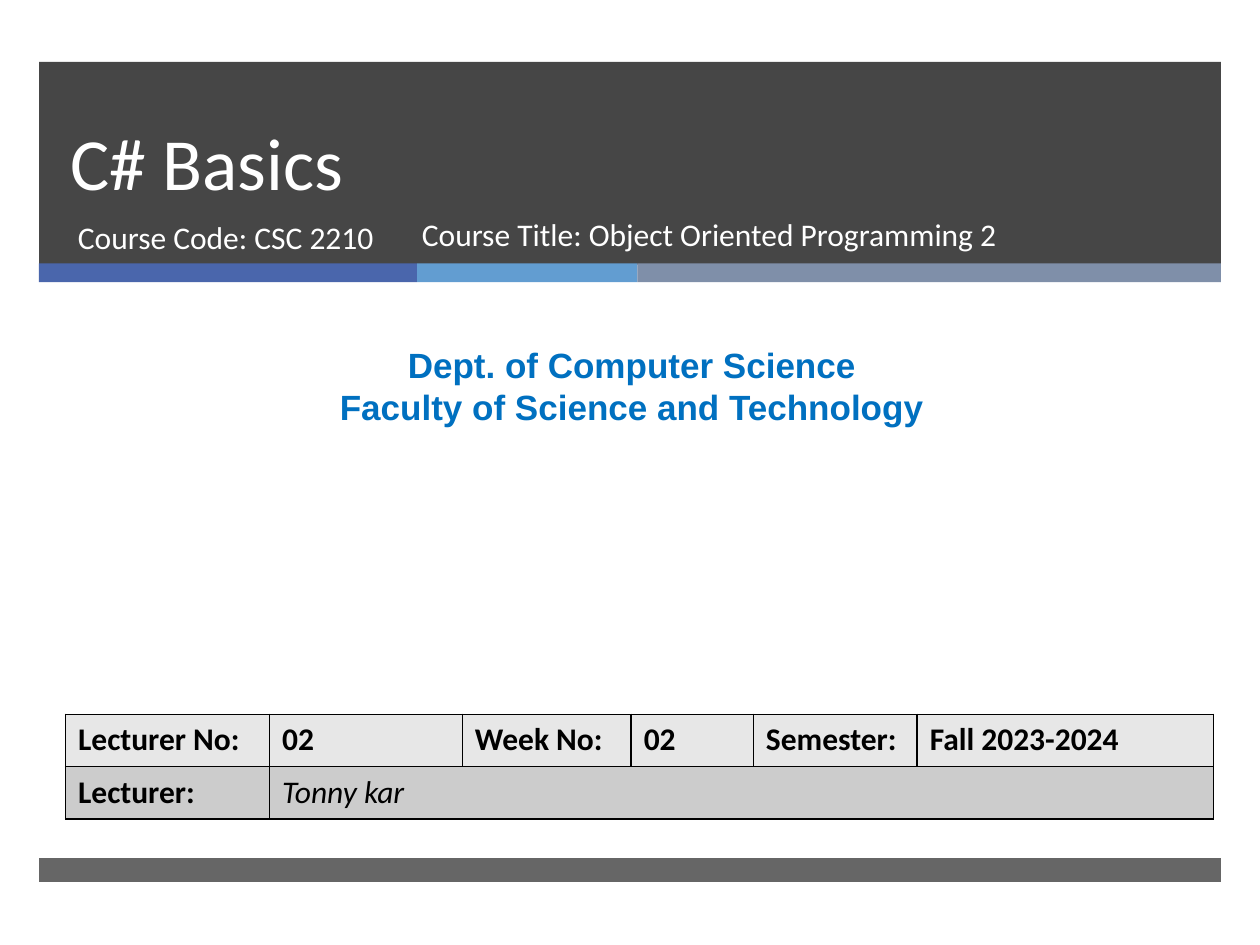
import pptx
import pptx.dml.color
import pptx.enum.shapes
import pptx.enum.text
import pptx.oxml
import pptx.oxml.ns
import pptx.util
from dataclasses import dataclass


@dataclass(frozen=True)
class Theme:
    dark: str = "262626"
    accents: tuple = ("4A66AC", "629DD1", "7F8FA9")
    white: str = "FFFFFF"
    black: str = "000000"
    department: str = "0070C0"
    table_rows: tuple = ("E7E7E7", "CCCCCC")
    font: str = "Calibri"
    department_font: str = "Arial"
    title_size: int = 42
    department_size: int = 20
    body_size: int = 18


theme = Theme()
color = pptx.dml.color.RGBColor.from_string
deck = pptx.Presentation()
deck.slide_width = pptx.util.Inches(10)
deck.slide_height = pptx.util.Inches(7.5)
page = deck.slides.add_slide(deck.slide_layouts[6])

# The page is a grid of 100 columns by 75 rows.
column = deck.slide_width // 100
row = deck.slide_height // 75
band_left, band_width = 3.1, 93.8


def grid(left, top, width, height):
    return [round(n * unit) for n, unit in
            ((left, column), (top, row), (width, column), (height, row))]


def add_span(para, text, size=theme.body_size, ink=theme.white,
             font=theme.font, bold=False, italic=False):
    span = para.add_run()
    span.text = text
    span.font.size = pptx.util.Pt(size)
    span.font.name = font
    span.font.color.rgb = color(ink)
    span.font.bold = bold
    span.font.italic = italic


# Bands: header, accent strip, footer
bands = [(band_left, 4.9, band_width, 16.1, theme.dark, 85),
         (band_left, 68.1, band_width, 1.9, theme.dark, 70)]
accent_left = band_left
for width, accent in zip((30, 17.5, 46.3), theme.accents):
    bands.append((accent_left, 20.9, width, 1.5, accent, 100))
    accent_left += width

for left, top, width, height, fill, opacity in bands:
    band = page.shapes.add_shape(pptx.enum.shapes.MSO_SHAPE.RECTANGLE,
                                 *grid(left, top, width, height))
    band.shadow.inherit = False
    band.line.fill.background()
    band.fill.solid()
    band.fill.fore_color.rgb = color(fill)
    if opacity < 100:
        tint = band.fill._xPr.find(".//" + pptx.oxml.ns.qn("a:srgbClr"))
        alpha = tint.makeelement(pptx.oxml.ns.qn("a:alpha"),
                                 {"val": str(opacity * 1000)})
        tint.append(alpha)

# Title, course details and department
department = dict(size=theme.department_size, ink=theme.department,
                  font=theme.department_font, bold=True)
texts = [
    ((4.6, 4.9, 85.4, 11.9), ["C# Basics"], dict(size=theme.title_size)),
    ((5.2, 16.8, 30.5, 5.3), ["Course Code: CSC 2210"], {}),
    ((32.5, 16.6, 51.1, 5.3),
     ["Course Title: Object Oriented Programming 2"], {}),
    ((0.8, 26.8, 98.7, 7.7),
     ["Dept. of Computer Science", "Faculty of Science and Technology"],
     department),
]
for place, lines, style in texts:
    frame = page.shapes.add_textbox(*grid(*place)).text_frame
    frame.word_wrap = True
    for number, line in enumerate(lines):
        para = frame.add_paragraph() if number else frame.paragraphs[0]
        if style is department:
            para.alignment = pptx.enum.text.PP_ALIGN.CENTER
        elif style:
            frame.vertical_anchor = pptx.enum.text.MSO_ANCHOR.BOTTOM
            para.line_spacing = pptx.util.Pt(46)
        add_span(para, line, **style)

# Lecture table
column_widths = (16.2, 15.3, 13.4, 9.7, 13, 23.5)
lecture_rows = (
    ("Lecturer No:", "02", "Week No:", "02", "Semester:", "Fall 2023-2024"),
    ("Lecturer:", "Tonny kar"),
)
table = page.shapes.add_table(
    len(lecture_rows), len(column_widths),
    *grid(5.2, 56.7, sum(column_widths), 8.3)).table
for table_column, width in zip(table.columns, column_widths):
    table_column.width = round(width * column)
table.cell(1, 1).merge(table.cell(1, len(column_widths) - 1))

for y, fill in enumerate(theme.table_rows):
    for x in range(len(column_widths)):
        cell = table.cell(y, x)
        cell.fill.solid()
        cell.fill.fore_color.rgb = color(fill)
        properties = cell._tc.get_or_add_tcPr()
        for order, side in enumerate(("lnL", "lnR", "lnT", "lnB")):
            border = pptx.oxml.parse_xml(
                f'<a:{side} {pptx.oxml.ns.nsdecls("a")} w="{pptx.util.Pt(1)}">'
                f'<a:solidFill><a:srgbClr val="{theme.black}"/></a:solidFill>'
                f'</a:{side}>')
            properties.insert(order, border)
        if x < len(lecture_rows[y]):
            is_name = (y, x) == (1, 1)
            add_span(cell.text_frame.paragraphs[0], lecture_rows[y][x],
                     ink=theme.black, bold=not is_name, italic=is_name)

deck.save("out.pptx")
